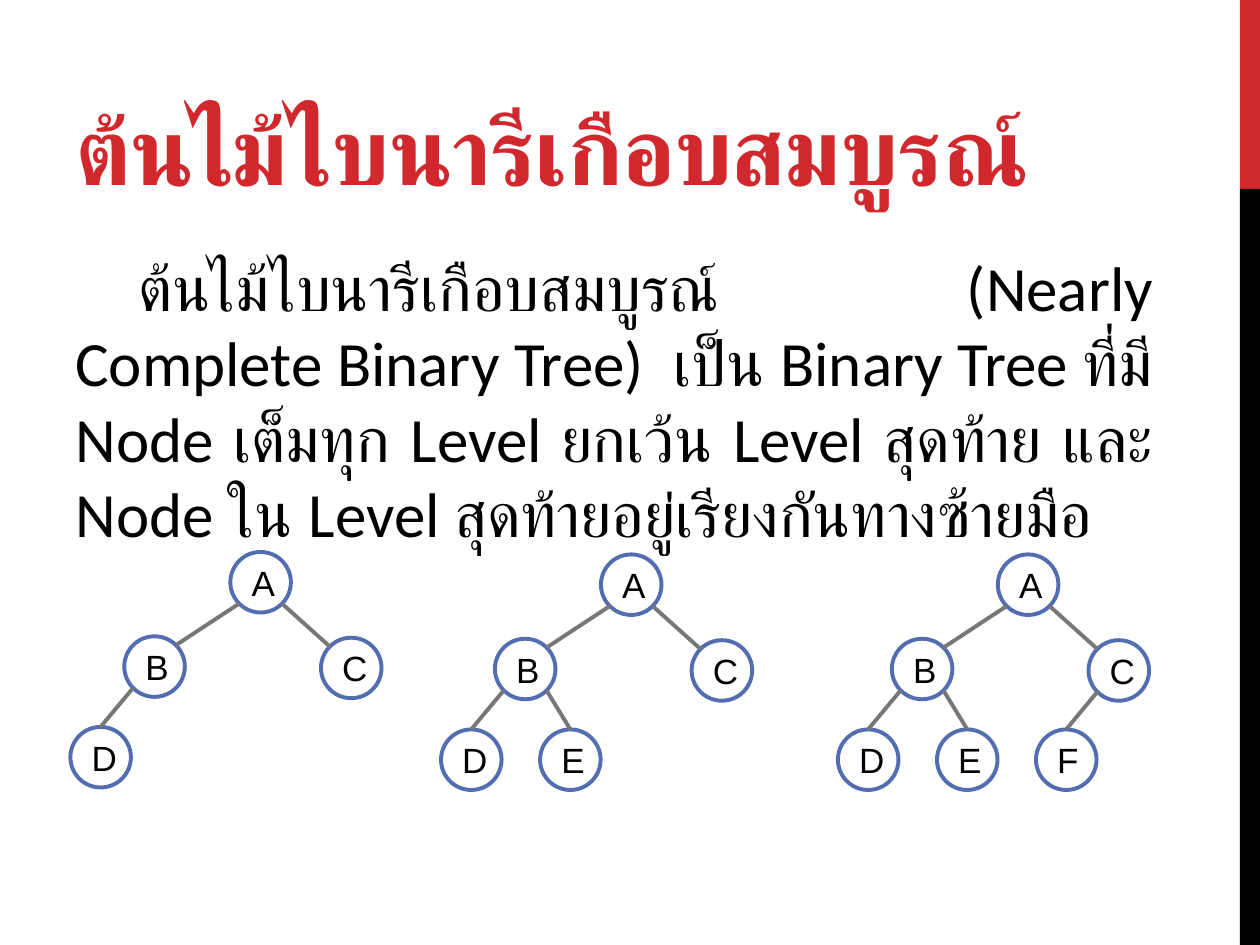
from math import sqrt

from lxml.etree import SubElement
from pptx import Presentation
from pptx.dml.color import RGBColor
from pptx.enum.shapes import MSO_CONNECTOR as Connector, MSO_SHAPE as Shape
from pptx.enum.text import MSO_ANCHOR as Anchor, PP_ALIGN as Align
from pptx.oxml.ns import qn
from pptx.util import Pt

RED = RGBColor(0xD1, 0x28, 0x2E)
BLACK = RGBColor(0, 0, 0)
WHITE = RGBColor(0xFF, 0xFF, 0xFF)
BLUE = RGBColor(0x52, 0x6D, 0xB0)
GRAY = RGBColor(0x77, 0x77, 0x77)

# Content
TITLE = "ต้นไม้ไบนารีเกือบสมบูรณ์"
DEFINITION = (
    "\tต้นไม้ไบนารีเกือบสมบูรณ์ (Nearly Complete Binary Tree)  เป็น Binary Tree "
    "ที่มี Node เต็มทุก Level ยกเว้น Level สุดท้าย และ "
    "Node ใน Level สุดท้ายอยู่เรียงกันทางซ้ายมือ"
)
# Left and top of each tree, with its nodes in level order
TREES = [
    (252, 316.8, "ABCDE"),
    (40.2, 315.4, "ABCD"),
    (478.8, 316.8, "ABCDEF"),
]
NODE_OFFSETS = {
    "A": (91.4, 0),
    "B": (30.8, 48.2), "C": (143.2, 49),
    "D": (0, 100), "E": (56.6, 100), "F": (113.2, 100),
}
SIDE_BARS = [(0, 108, RED), (108, 432, BLACK)]

# Formats
TITLE_FONT = {"name": "Calibri", "size": Pt(54), "bold": True}
BODY_FONT = {"name": "Calibri", "size": Pt(36)}
NODE_FONT = {"name": "Arial", "size": Pt(20)}
NODE_SIZE = 34.6
LINE_WIDTH = Pt(2.25)


def write(frame, text, font, color, align, anchor):
    frame.word_wrap = True
    frame.vertical_anchor = anchor
    paragraph = frame.paragraphs[0]
    paragraph.alignment = align
    run = paragraph.add_run()
    run.text = text
    for attribute, value in font.items():
        setattr(run.font, attribute, value)
    run.font.color.rgb = color
    return paragraph


def add_node(shapes, letter, left, top):
    node = shapes.add_shape(Shape.OVAL, Pt(left), Pt(top), Pt(NODE_SIZE), Pt(NODE_SIZE))
    node.shadow.inherit = False
    node.fill.solid()
    node.fill.fore_color.rgb = WHITE
    node.line.color.rgb = BLUE
    node.line.width = LINE_WIDTH
    write(node.text_frame, letter, NODE_FONT, BLACK, Align.CENTER, Anchor.MIDDLE)
    return node


def rim_point(left, top, side, down):
    """Point on a node's rim; side and down are -1 to 1 from its centre."""
    radius = NODE_SIZE / 2
    return left + radius * (1 + side), top + radius * (1 + down)


def add_tree(shapes, left, top, letters):
    tree = shapes.add_group_shape().shapes
    corners = {c: (left + NODE_OFFSETS[c][0], top + NODE_OFFSETS[c][1]) for c in letters}
    nodes = {c: add_node(tree, c, *corners[c]) for c in letters}
    diagonal = sqrt(0.5)
    for index, child in enumerate(letters[1:], 1):
        parent = letters[(index - 1) // 2]
        side = -diagonal if index % 2 else diagonal
        on_last_level = index > 2
        start = rim_point(*corners[parent], side, diagonal)
        end = rim_point(*corners[child], *((0, -1) if on_last_level else (-side, -diagonal)))
        branch = tree.add_connector(Connector.STRAIGHT, *map(Pt, start + end))
        if on_last_level:
            branch.end_connect(nodes[child], 0)
        branch.line.color.rgb = GRAY
        branch.line.width = LINE_WIDTH
        SubElement(branch._element.spPr, qn("a:effectLst"))


def main():
    deck = Presentation()
    deck.slide_width, deck.slide_height = Pt(720), Pt(540)
    slide = deck.slides.add_slide(deck.slide_layouts[5])
    shapes = slide.shapes

    # Side bars
    for top, height, color in SIDE_BARS:
        bar = shapes.add_shape(Shape.RECTANGLE, Pt(708.5), Pt(top), Pt(11.5), Pt(height))
        bar.shadow.inherit = False
        bar.fill.solid()
        bar.fill.fore_color.rgb = color
        bar.line.fill.background()

    # Title
    title = shapes.title
    title.left, title.top, title.width, title.height = map(Pt, (36, 12.2, 630, 108))
    heading = write(title.text_frame, TITLE, TITLE_FONT, RED, Align.LEFT, Anchor.BOTTOM)
    heading.runs[0].font._element.set("spc", "-60")

    # Definition
    body = shapes.add_textbox(*map(Pt, (36, 138.2, 630, 344.2)))
    definition = write(body.text_frame, DEFINITION, BODY_FONT, BLACK, Align.JUSTIFY, Anchor.TOP)
    definition.space_after = Pt(6)

    # Example trees
    for left, top, letters in TREES:
        add_tree(shapes, left, top, letters)

    deck.save("out.pptx")


if __name__ == "__main__":
    main()
